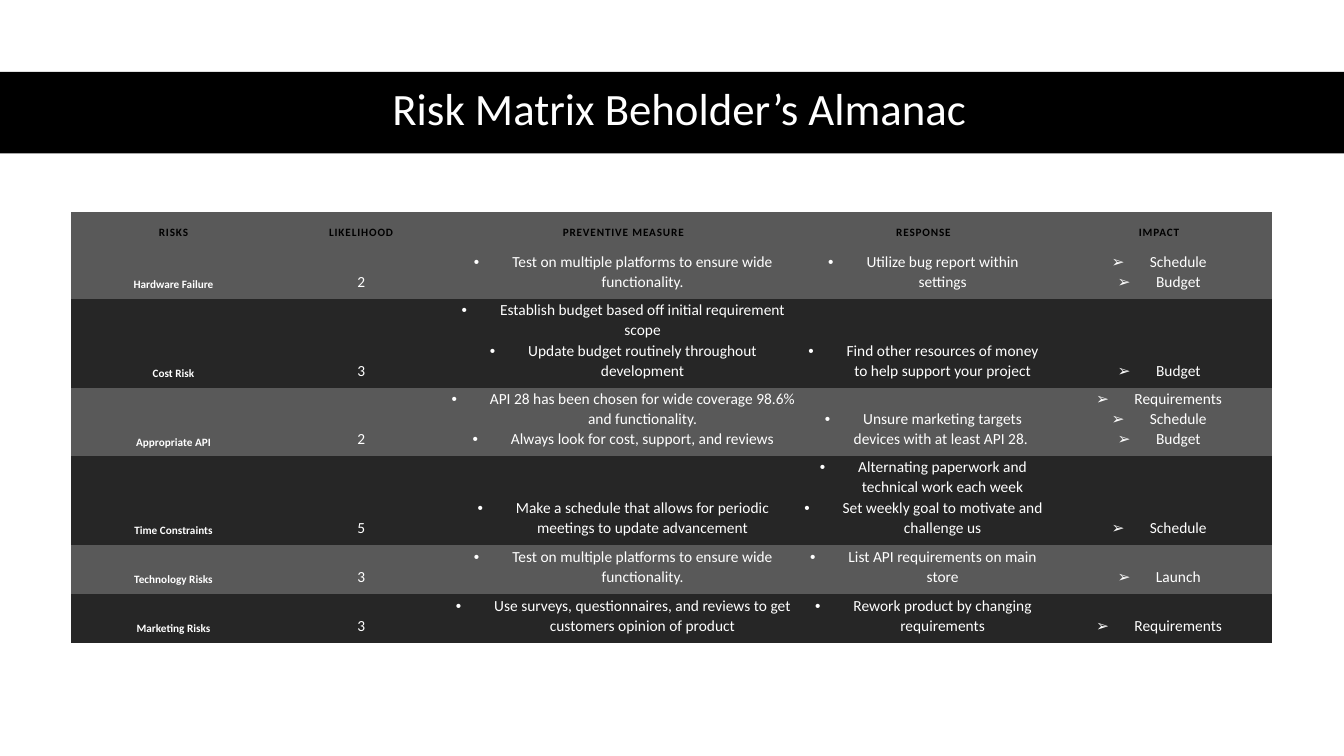
from lxml import etree
from pptx import Presentation
from pptx.dml.color import RGBColor
from pptx.enum.shapes import MSO_SHAPE
from pptx.enum.text import MSO_ANCHOR, MSO_AUTO_SIZE, PP_ALIGN
from pptx.oxml.ns import qn
from pptx.util import Inches, Pt

RECTANGLE = MSO_SHAPE.RECTANGLE
BOTTOM, MIDDLE = MSO_ANCHOR.BOTTOM, MSO_ANCHOR.MIDDLE
CENTER = PP_ALIGN.CENTER
NO_AUTOFIT = MSO_AUTO_SIZE.NONE

BLACK = RGBColor(0x00, 0x00, 0x00)
WHITE = RGBColor(0xFF, 0xFF, 0xFF)
GRAY = RGBColor(0x59, 0x59, 0x59)
CHARCOAL = RGBColor(0x26, 0x26, 0x26)

FONT = "Calibri"
SLIDE_WIDTH, SLIDE_HEIGHT = Inches(13.33), Inches(7.5)
TITLE_ONLY_LAYOUT = 5
PLAIN_TABLE_STYLE = "{2D5ABB26-0587-4C30-8999-92F81FD0307C}"
HEADER_INSETS = (0.1, 0.1, 0.1, 0.1)
BODY_INSETS = (0.03, 0, 0.03, 0.07)
DOT, ARROW = "•", "➢"

COLUMN_SHARES = (15.32, 12.6, 26.43, 18.23, 16.84)
ROW_SHARES = (5.07, 6.48, 11.73, 9.07, 11.73, 6.48, 6.48)
COLUMN_BULLETS = (None, None, DOT, DOT, ARROW)
HEADERS = ("RISKS", "LIKELIHOOD", "PREVENTIVE MEASURE", "RESPONSE", "IMPACT")
RISKS = (
    ("Hardware Failure", "2",
     ["Test on multiple platforms to ensure wide functionality."],
     ["Utilize bug report within settings"],
     ["Schedule", "Budget"]),
    ("Cost Risk", "3",
     ["Establish budget based off initial requirement scope",
      "Update budget routinely throughout development"],
     ["Find other resources of money to help support your project"],
     ["Budget"]),
    ("Appropriate API", "2",
     ["API 28 has been chosen for wide coverage 98.6% and functionality.",
      "Always look for cost, support, and reviews"],
     ["Unsure marketing targets devices with at least API 28. "],
     ["Requirements", "Schedule", "Budget"]),
    ("Time Constraints", "5",
     ["Make a schedule that allows for periodic meetings to update advancement"],
     ["Alternating paperwork and technical work each week",
      "Set weekly goal to motivate and challenge us"],
     ["Schedule"]),
    ("Technology Risks", "3",
     ["Test on multiple platforms to ensure wide functionality."],
     ["List API requirements on main store"],
     ["Launch"]),
    ("Marketing Risks", "3",
     ["Use surveys, questionnaires, and reviews to get customers opinion of product"],
     ["Rework product by changing requirements"],
     ["Requirements"]),
)


def across(percent):
    """Return a percentage of the slide's width."""
    return round(SLIDE_WIDTH * percent / 100)


def down(percent):
    """Return a percentage of the slide's height."""
    return round(SLIDE_HEIGHT * percent / 100)


def add_run(paragraph, text, size, color, bold=False, spacing=0):
    """Add one formatted run, with letter spacing in points."""
    run = paragraph.add_run()
    run.text = text
    run.font.name = FONT
    run.font.size = Pt(size)
    run.font.bold = bold
    run.font.color.rgb = color
    if spacing:
        run.font._element.set("spc", str(round(spacing * 100)))


def add_bullet(paragraph, character):
    """Give a paragraph a hanging bullet and its tab stop."""
    properties = paragraph._p.get_or_add_pPr()
    properties.set("marL", str(Inches(0.38)))
    properties.set("indent", str(-Inches(0.38)))
    etree.SubElement(properties, qn("a:buFont"), typeface="Arial")
    etree.SubElement(properties, qn("a:buChar"), char=character)
    tabs = etree.SubElement(properties, qn("a:tabLst"))
    etree.SubElement(tabs, qn("a:tab"), pos=str(Inches(0.25)), algn="l")


def fill_cell(cell, lines, fill, insets, bullet=None, **run_format):
    """Fill a table cell with centred, bottom-anchored lines."""
    cell.fill.solid()
    cell.fill.fore_color.rgb = fill
    cell.vertical_anchor = BOTTOM
    (cell.margin_left, cell.margin_top,
     cell.margin_right, cell.margin_bottom) = map(Inches, insets)
    frame = cell.text_frame
    for index, line in enumerate(lines):
        paragraph = frame.add_paragraph() if index else frame.paragraphs[0]
        paragraph.alignment = CENTER
        paragraph.line_spacing = 1.07
        if bullet:
            add_bullet(paragraph, bullet)
        add_run(paragraph, line, **run_format)


def add_title(slide, text):
    """Place the title placeholder on a full-width black bar."""
    bar = slide.shapes.add_shape(RECTANGLE, 0, down(9.5), SLIDE_WIDTH, down(10.8))
    bar.shadow.inherit = False
    bar.fill.solid()
    bar.fill.fore_color.rgb = BLACK
    bar.line.fill.background()
    title = slide.shapes.title
    title.element.addprevious(bar.element)
    title.left, title.top = across(4.58), down(9.33)
    title.width, title.height = across(91.97), down(10.8)
    frame = title.text_frame
    frame.word_wrap = True
    frame.auto_size = NO_AUTOFIT
    frame.vertical_anchor = MIDDLE
    paragraph = frame.paragraphs[0]
    paragraph.alignment = CENTER
    paragraph.line_spacing = 0.9
    paragraph.space_after = Pt(6)
    add_run(paragraph, text, 32, WHITE)


def add_plain_table(slide, left, top):
    """Add an unstyled table sized by the column and row shares."""
    frame = slide.shapes.add_table(
        len(ROW_SHARES), len(COLUMN_SHARES), left, top,
        across(sum(COLUMN_SHARES)), down(sum(ROW_SHARES)))
    table = frame.table
    table.first_row = table.horz_banding = False
    table._tbl.tblPr.find(qn("a:tableStyleId")).text = PLAIN_TABLE_STYLE
    for column, share in zip(table.columns, COLUMN_SHARES):
        column.width = across(share)
    for row, share in zip(table.rows, ROW_SHARES):
        row.height = down(share)
    return table


def add_risk_table(slide):
    """Build the header and the alternating risk rows."""
    table = add_plain_table(slide, across(5.25), down(28))
    for column, header in enumerate(HEADERS):
        fill_cell(table.cell(0, column), [header], GRAY, HEADER_INSETS,
                  size=8, color=BLACK, bold=True, spacing=0.6)
    for row, (name, likelihood, *lists) in enumerate(RISKS, start=1):
        fill = GRAY if row % 2 else CHARCOAL
        for column, lines in enumerate(([name], [likelihood], *lists)):
            is_name = column == 0
            fill_cell(table.cell(row, column), lines, fill, BODY_INSETS,
                      COLUMN_BULLETS[column], size=8 if is_name else 11,
                      color=WHITE, bold=is_name)


def main():
    """Build and save the risk matrix slide."""
    presentation = Presentation()
    presentation.slide_width = SLIDE_WIDTH
    presentation.slide_height = SLIDE_HEIGHT
    slide = presentation.slides.add_slide(
        presentation.slide_layouts[TITLE_ONLY_LAYOUT])
    add_title(slide, "Risk Matrix Beholder’s Almanac")
    add_risk_table(slide)
    presentation.save("out.pptx")


if __name__ == "__main__":
    main()
